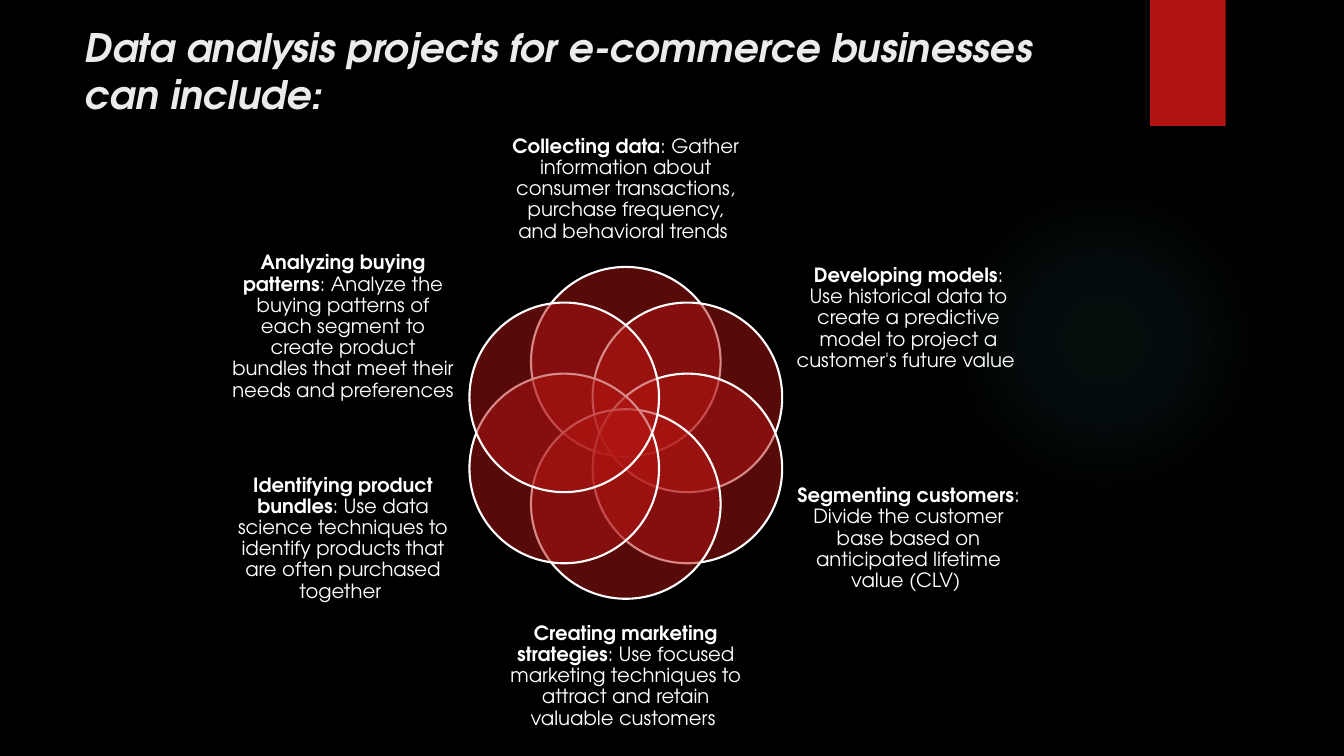
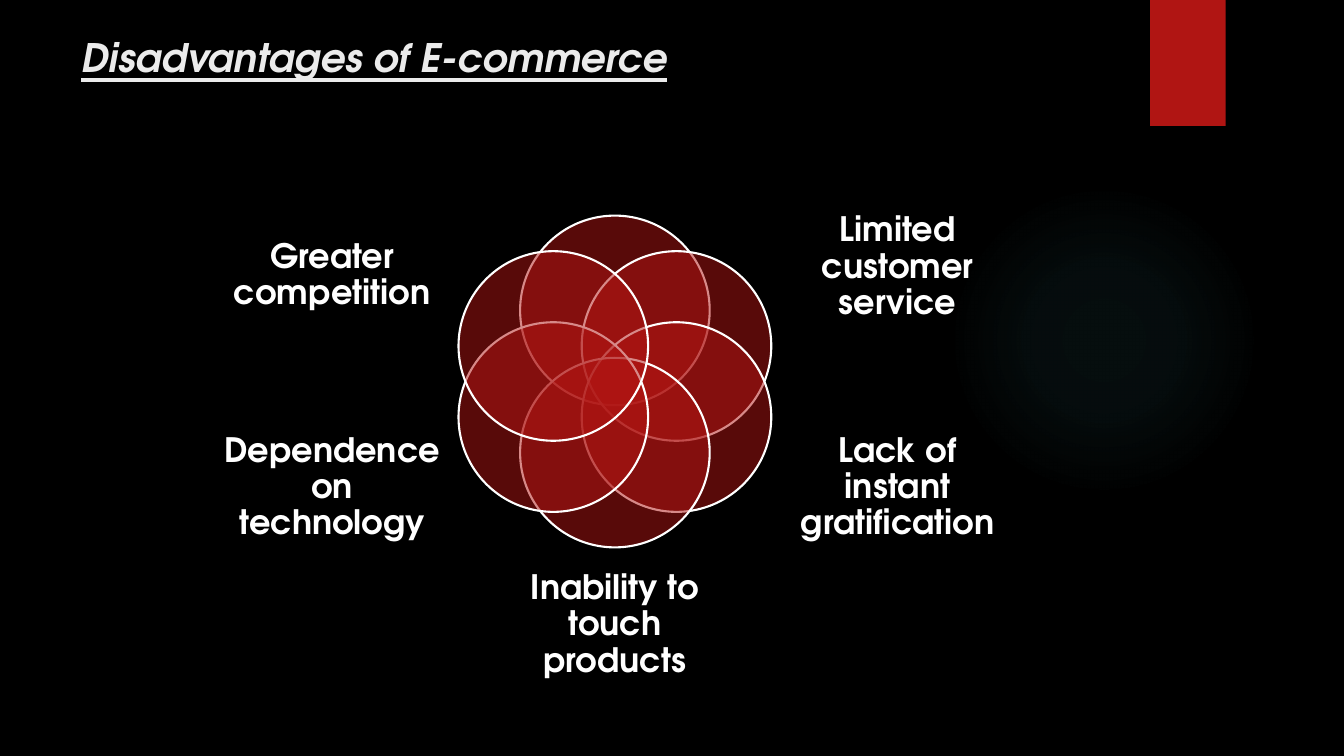
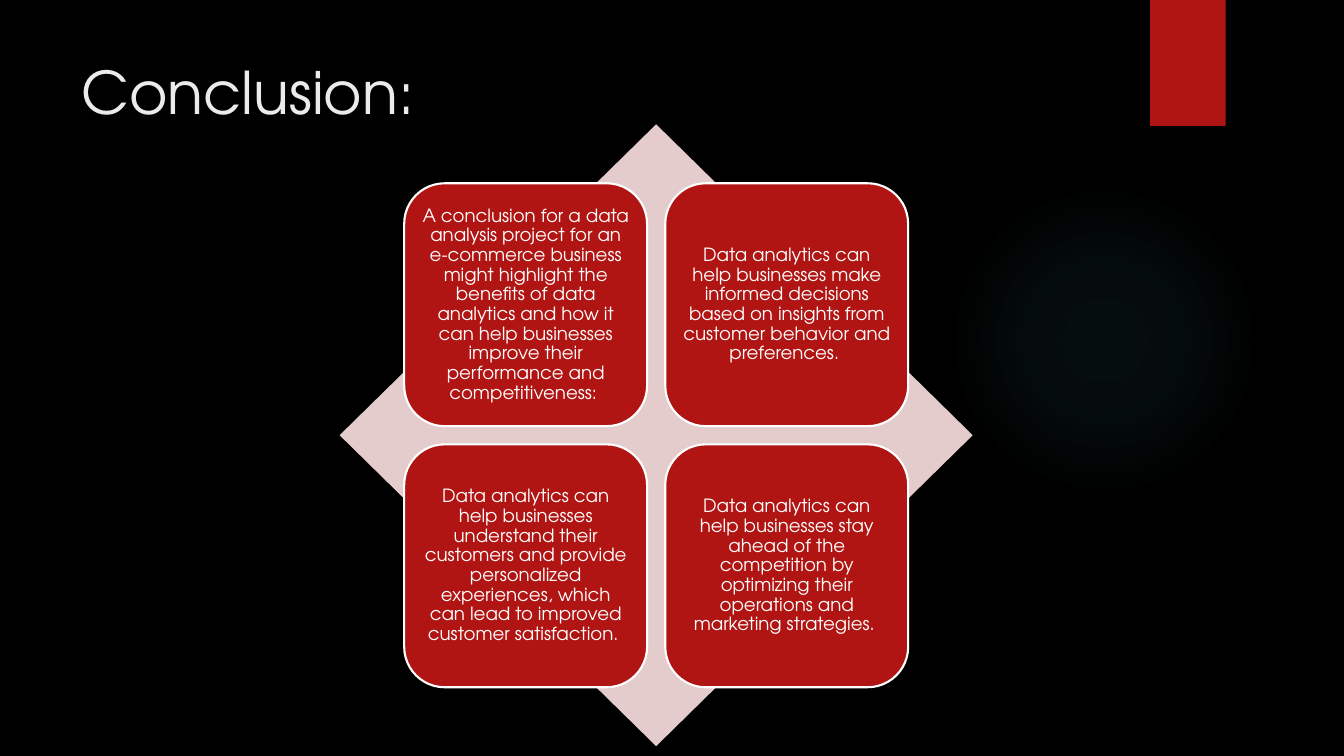
import math

import lxml.etree
import pptx
import pptx.dml.color
import pptx.enum.shapes
import pptx.enum.text
import pptx.oxml
import pptx.oxml.ns
import pptx.util

Pt = pptx.util.Pt
RGBColor = pptx.dml.color.RGBColor
SHAPES = pptx.enum.shapes.MSO_SHAPE
ALIGN = pptx.enum.text.PP_ALIGN
ANCHOR = pptx.enum.text.MSO_ANCHOR

BLACK = RGBColor(0x00, 0x00, 0x00)
WHITE = RGBColor(0xFF, 0xFF, 0xFF)
TITLE_GREY = RGBColor(0xEB, 0xEB, 0xEB)
RED = RGBColor(0xB0, 0x15, 0x13)
PALE_RED = RGBColor(0xE4, 0xCC, 0xCC)
GLOW = RGBColor(0x50, 0xB9, 0xC1)
GLOW_STOPS = [(0, 7), (36, 6), (69, 0)]  # position and opacity, percent

FONT = "TeX Gyre Adventor"
TITLE_ONLY = 5

PETAL_SIZE = 135.4
PETAL_RING = 50.8
# Label boxes clockwise from the top: left, top, width, height from the flower's centre
LABEL_BOXES = [
    (-84.6, -220, 169.2, 92.2),
    (121.7, -132, 160.6, 100.8),
    (121.7, 19.2, 160.6, 113),
    (-84.6, 127.8, 169.2, 92.2),
    (-282.2, 19.2, 160.6, 113),
    (-282.2, -132, 160.6, 113),
]

TILE_SIZE = 173.5
TILE_GAP = 13
DIAMOND_WIDTH, DIAMOND_HEIGHT = 452.2, 444.2

PROJECT_STEPS = [
    [("Collecting data", True),
     (": Gather information about consumer transactions, purchase frequency, and behavioral trends ", False)],
    [("Developing models", True),
     (": Use historical data to create a predictive model to project a customer's future value ", False)],
    [("Segmenting customers", True),
     (": Divide the customer base based on anticipated lifetime value (CLV) ", False)],
    [("Creating marketing strategies", True),
     (": Use focused marketing techniques to attract and retain valuable customers ", False)],
    [("Identifying product bundles", True),
     (": Use data science techniques to identify products that are often purchased together ", False)],
    [("Analyzing buying patterns", True),
     (": Analyze the buying patterns of each segment to create product bundles"
      " that meet their needs and preferences", False)],
]

DISADVANTAGES = [
    [],
    [("Limited customer service", True)],
    [("Lack of instant gratification", True)],
    [("Inability to touch products", True)],
    [("Dependence on technology", True)],
    [("Greater competition", True)],
]

CONCLUSIONS = [
    "A conclusion for a data analysis project for an e-commerce business might highlight the benefits"
    " of data analytics and how it can help businesses improve their performance and competitiveness: ",
    "Data analytics can help businesses make informed decisions based on insights from customer"
    " behavior and preferences. ",
    "Data analytics can help businesses understand their customers and provide personalized"
    " experiences, which can lead to improved customer satisfaction. ",
    "Data analytics can help businesses stay ahead of the competition by optimizing their operations"
    " and marketing strategies. ",
]


def add_shape(slide, kind, left, top, width, height, color, outlined=False):
    shape = slide.shapes.add_shape(kind, Pt(left), Pt(top), Pt(width), Pt(height))
    shape.shadow.inherit = False
    shape.fill.solid()
    shape.fill.fore_color.rgb = color
    if outlined:
        shape.line.color.rgb = WHITE
        shape.line.width = Pt(1.5)
    else:
        shape.line.fill.background()
    return shape


def set_opacity(shape, percent):
    color = shape.element.spPr.find(pptx.oxml.ns.qn("a:solidFill"))[0]
    alpha = lxml.etree.SubElement(color, pptx.oxml.ns.qn("a:alpha"))
    alpha.set("val", str(percent * 1000))


def add_glow(slide):
    """Add a faint round glow that fades out towards its edge."""
    glow = add_shape(slide, SHAPES.OVAL, 677.5, 131.8, 221.8, 221.8, GLOW)
    stops = "".join(
        f'<a:gs pos="{position * 1000}"><a:srgbClr val="{GLOW}">'
        f'<a:alpha val="{opacity * 1000}"/></a:srgbClr></a:gs>'
        for position, opacity in GLOW_STOPS)
    gradient = pptx.oxml.parse_xml(
        f'<a:gradFill {pptx.oxml.ns.nsdecls("a")}><a:gsLst>{stops}</a:gsLst>'
        '<a:path path="circle"><a:fillToRect l="50000" t="50000" r="50000" b="50000"/></a:path>'
        '</a:gradFill>')
    properties = glow.element.spPr
    properties.replace(properties.find(pptx.oxml.ns.qn("a:solidFill")), gradient)


def add_titled_slide(presentation, title, left, top, width, height, size, emphasis=None, underline=None):
    slide = presentation.slides.add_slide(presentation.slide_layouts[TITLE_ONLY])
    add_glow(slide)
    add_shape(slide, SHAPES.RECTANGLE, 821.5, 0, 54, 90, RED)
    shape = slide.shapes.title
    shape.left, shape.top, shape.width, shape.height = Pt(left), Pt(top), Pt(width), Pt(height)
    frame = shape.text_frame
    frame.text = title
    frame.auto_size = pptx.enum.text.MSO_AUTO_SIZE.NONE
    frame.vertical_anchor = ANCHOR.TOP
    paragraph = frame.paragraphs[0]
    paragraph.alignment = ALIGN.LEFT
    set_font(paragraph, size, TITLE_GREY)
    paragraph.font.bold = paragraph.font.italic = emphasis
    paragraph.font.underline = underline
    return slide


def set_font(paragraph, size, color):
    paragraph.font.name = FONT
    paragraph.font.size = Pt(size)
    paragraph.font.color.rgb = color


def write_centred(shape, runs, size, margin):
    """Fill the shape with one centred white paragraph of (text, bold) runs."""
    frame = shape.text_frame
    frame.word_wrap = True
    frame.vertical_anchor = ANCHOR.MIDDLE
    frame.margin_left = frame.margin_right = frame.margin_top = frame.margin_bottom = Pt(margin)
    paragraph = frame.paragraphs[0]
    paragraph.alignment = ALIGN.CENTER
    paragraph.line_spacing = 0.9
    paragraph.space_after = Pt(0.35 * size)
    set_font(paragraph, size, WHITE)
    for text, bold in runs:
        run = paragraph.add_run()
        run.text = text
        run.font.bold = bold


def add_flower(slide, center_x, center_y, labels, size):
    """Add a ring of overlapping circles, clockwise from the top, each with its label."""
    for index, (runs, box) in enumerate(zip(labels, LABEL_BOXES)):
        angle = math.tau * index / len(labels)
        left = center_x + PETAL_RING * math.sin(angle) - PETAL_SIZE / 2
        top = center_y - PETAL_RING * math.cos(angle) - PETAL_SIZE / 2
        petal = add_shape(slide, SHAPES.OVAL, left, top, PETAL_SIZE, PETAL_SIZE, RED, outlined=True)
        set_opacity(petal, 50)
        if runs:
            offset_x, offset_y, width, height = box
            label = slide.shapes.add_textbox(
                Pt(center_x + offset_x), Pt(center_y + offset_y), Pt(width), Pt(height))
            write_centred(label, runs, size, margin=0)


def add_tile_matrix(slide, center_x, center_y, texts):
    """Add a diamond with a two by two grid of text tiles over it."""
    add_shape(slide, SHAPES.DIAMOND, center_x - DIAMOND_WIDTH / 2, center_y - DIAMOND_HEIGHT / 2,
              DIAMOND_WIDTH, DIAMOND_HEIGHT, PALE_RED)
    pitch = TILE_SIZE + TILE_GAP
    first_offset = TILE_SIZE + TILE_GAP / 2
    for index, text in enumerate(texts):
        row, column = divmod(index, 2)
        tile = add_shape(slide, SHAPES.ROUNDED_RECTANGLE,
                         center_x - first_offset + column * pitch,
                         center_y - first_offset + row * pitch,
                         TILE_SIZE, TILE_SIZE, RED, outlined=True)
        write_centred(tile, [(text, False)], 13, margin=3.6)


def main():
    presentation = pptx.Presentation()
    presentation.slide_width, presentation.slide_height = Pt(960), Pt(540)
    background = presentation.slide_master.background.fill
    background.solid()
    background.fore_color.rgb = BLACK

    slide = add_titled_slide(presentation, "Data analysis projects for e-commerce businesses can include:",
                             53.3, 13, 741, 102, 28, emphasis=True)
    add_flower(slide, 447, 309.2, PROJECT_STEPS, 14)

    slide = add_titled_slide(presentation, "Disadvantages of E-commerce",
                             51, 20, 741, 61, 28, emphasis=True, underline=True)
    add_flower(slide, 439.2, 272.5, DISADVANTAGES, 24)

    slide = add_titled_slide(presentation, "Conclusion:", 51, 36, 741, 74, 42)
    add_tile_matrix(slide, 468.7, 310.9, CONCLUSIONS)

    presentation.save("out.pptx")


if __name__ == "__main__":
    main()
